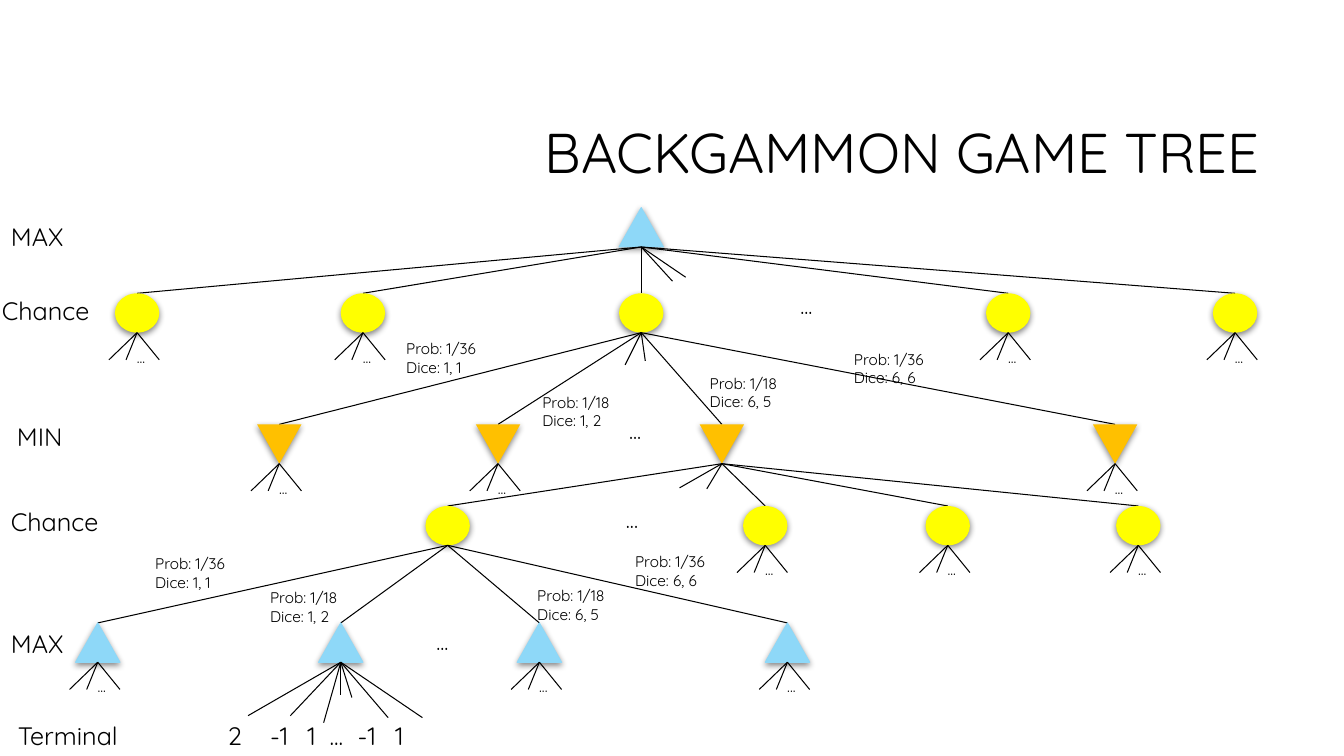
from lxml.etree import SubElement
from pptx import Presentation
from pptx.dml.color import RGBColor
from pptx.enum.shapes import MSO_CONNECTOR, MSO_SHAPE
from pptx.enum.text import MSO_ANCHOR, MSO_AUTO_SIZE, PP_ALIGN
from pptx.oxml.ns import qn
from pptx.util import Inches, Pt

BLACK = RGBColor(0x00, 0x00, 0x00)
MAX_BLUE = RGBColor(0x8E, 0xD8, 0xF8)
CHANCE_YELLOW = RGBColor(0xFF, 0xFF, 0x00)
MIN_ORANGE = RGBColor(0xFF, 0xC0, 0x00)
FONT = "Quicksand"

NODE_W, NODE_H = 0.44, 0.39
FAN = [(-0.28, 0.27), (-0.11, 0.27), (0.22, 0.27)]

# Node kind: shape, colour, rotation
MAX = (MSO_SHAPE.ISOSCELES_TRIANGLE, MAX_BLUE, 0)
CHANCE = (MSO_SHAPE.OVAL, CHANCE_YELLOW, 0)
MIN = (MSO_SHAPE.ISOSCELES_TRIANGLE, MIN_ORANGE, 180)

# Each level: kind, top, node centres, index of the expanded node,
# offsets of its extra short branches
LEVELS = [
    (MAX, 2.06, [6.36], 0, [(0.31, 0.34), (0.44, 0.3)]),
    (CHANCE, 2.91, [1.36, 3.6, 6.36, 10, 12.25], 2, [(-0.16, 0.32), (0.04, 0.28)]),
    (MIN, 4.21, [2.77, 4.94, 7.16, 11.06], 2, [(-0.15, 0.25), (-0.42, 0.24)]),
    (CHANCE, 5.02, [4.44, 7.59, 9.4, 11.29], 0, []),
    (MAX, 6.18, [0.97, 3.38, 5.35, 7.81], 1,
     [(-0.92, 0.53), (-0.5, 0.53), (-0.17, 0.6), (0.47, 0.55),
      (0.81, 0.55), (0, 0.33), (0.11, 0.35)]),
]

LEVEL_NAMES = [
    ("MAX", 0.01, 2.15, 0.78), ("Chance", -0.08, 2.88, 1.22),
    ("MIN", 0.07, 4.13, 0.68), ("Chance", 0.01, 4.97, 1.22),
    ("MAX", 0.01, 6.18, 0.78),
]

GAPS = [(7.84, 2.85), (6.14, 4.09), (6.11, 4.97), (4.23, 6.18)]

# Dice rolls with label positions below the first and second chance levels
ROLLS = [
    ("Prob: 1/36", "Dice: 1, 1", [(3.93, 3.32), (1.44, 5.45)]),
    ("Prob: 1/18", "Dice: 1, 2", [(5.28, 3.85), (2.58, 5.79)]),
    ("Prob: 1/18", "Dice: 6, 5", [(6.94, 3.66), (5.23, 5.77)]),
    ("Prob: 1/36", "Dice: 6, 6", [(8.37, 3.42), (6.2, 5.43)]),
]

# Tab stops of the terminal values, from the start of the text
TERMINAL_VALUES = [("2", 2.08), ("-1", 2.5), ("1", 2.87),
                   ("...", 3.09), ("-1", 3.37), ("1", 3.74)]


def add_text(slide, lines, left, top, width, height, size):
    box = slide.shapes.add_textbox(Inches(left), Inches(top), Inches(width), Inches(height))
    frame = box.text_frame
    frame.word_wrap = False
    frame.auto_size = MSO_AUTO_SIZE.SHAPE_TO_FIT_TEXT
    frame.text = "\n".join(lines)
    for paragraph in frame.paragraphs:
        paragraph.font.size = Pt(size)
        paragraph.font.name = FONT
        paragraph.font.color.rgb = BLACK
    return frame


def add_title(slide):
    frame = add_text(slide, ["BACKGAMMON GAME TREE"], 3.17, 0.84, 9.42, 1.41, 40)
    frame.auto_size = MSO_AUTO_SIZE.NONE
    frame.word_wrap = True
    frame.vertical_anchor = MSO_ANCHOR.MIDDLE
    frame.paragraphs[0].alignment = PP_ALIGN.RIGHT
    frame.paragraphs[0].line_spacing = 0.9


def add_terminal_row(slide):
    row = "\t".join(["Terminal"] + [value for value, _ in TERMINAL_VALUES])
    frame = add_text(slide, [row], 0.08, 7.1, 4.4, 0.4, 18)
    frame.word_wrap = True
    properties = frame.paragraphs[0]._p.get_or_add_pPr()
    tabs = SubElement(properties, qn("a:tabLst"))
    properties.insert(0, tabs)
    for _, stop in TERMINAL_VALUES:
        SubElement(tabs, qn("a:tab"), pos=str(Inches(stop)), algn="l")


def add_shadow(shape):
    shape.shadow.inherit = False
    effects = shape._element.spPr.find(qn("a:effectLst"))
    shadow = SubElement(effects, qn("a:outerShdw"), blurRad=str(Pt(4.5)),
                        dist=str(Pt(1.5)), dir="5400000", rotWithShape="0")
    color = SubElement(shadow, qn("a:srgbClr"), val=str(BLACK))
    SubElement(color, qn("a:alpha"), val="48000")


def add_node(slide, kind, center, top):
    preset, color, rotation = kind
    node = slide.shapes.add_shape(preset, Inches(center - NODE_W / 2), Inches(top),
                                  Inches(NODE_W), Inches(NODE_H))
    node.rotation = rotation
    node.fill.solid()
    node.fill.fore_color.rgb = color
    if kind == MAX:
        node.line.color.rgb = color
        node.line.width = Pt(0.75)
    else:
        node.line.fill.background()
    add_shadow(node)


def add_branch(slide, x1, y1, x2, y2):
    branch = slide.shapes.add_connector(MSO_CONNECTOR.STRAIGHT, Inches(x1), Inches(y1),
                                        Inches(x2), Inches(y2))
    branch.line.color.rgb = BLACK
    branch.line.width = Pt(0.75)
    SubElement(branch._element.spPr, qn("a:effectLst"))


def add_branches(slide, x, y, offsets):
    for dx, dy in offsets:
        add_branch(slide, x, y, x + dx, y + dy)


def add_level(slide, level, next_level):
    kind, top, centers, expanded, extra = level
    bottom = top + NODE_H
    for index, center in enumerate(centers):
        add_node(slide, kind, center, top)
        if index != expanded:
            add_branches(slide, center, bottom, FAN)
            add_text(slide, ["..."], center - 0.1, bottom + 0.1, 0.33, 0.29, 11)
    parent = centers[expanded]
    add_branches(slide, parent, bottom, extra)
    if next_level:
        _, child_top, children, _, _ = next_level
        for child in children:
            add_branch(slide, parent, bottom, child, child_top)


def main():
    presentation = Presentation()
    presentation.slide_width = Inches(13.33)
    presentation.slide_height = Inches(7.5)
    slide = presentation.slides.add_slide(presentation.slide_layouts[6])

    add_title(slide)

    # Tree
    for level, next_level in zip(LEVELS, LEVELS[1:] + [None]):
        add_level(slide, level, next_level)

    # Labels
    for name, left, top, width in LEVEL_NAMES:
        add_text(slide, [name], left, top, width, 0.4, 18)
    for left, top in GAPS:
        add_text(slide, ["..."], left, top, 0.39, 0.37, 16)
    for probability, dice, places in ROLLS:
        for left, top in places:
            add_text(slide, [probability, dice], left, top, 0.95, 0.47, 11)
    add_terminal_row(slide)

    presentation.save("out.pptx")


if __name__ == "__main__":
    main()
